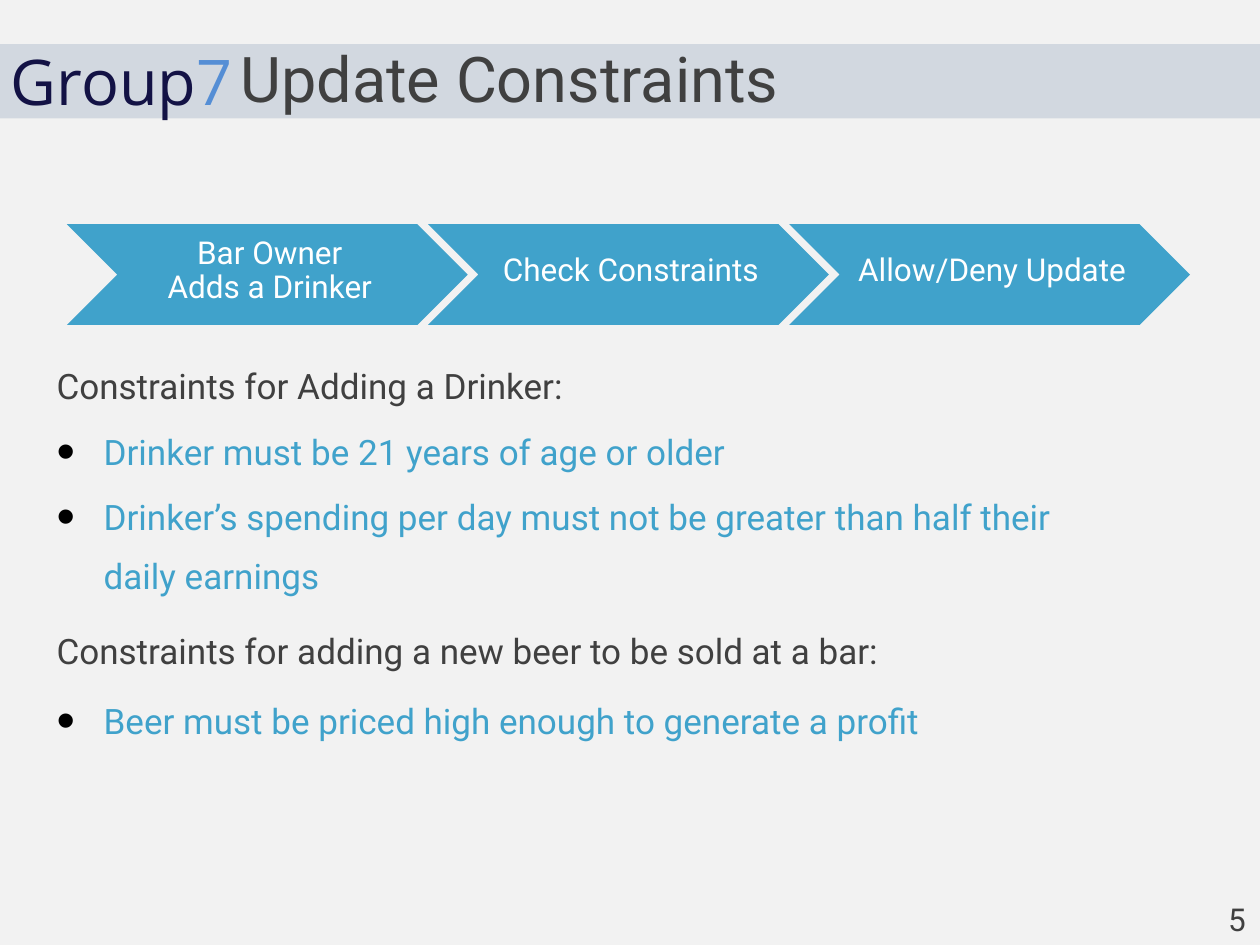
from lxml import etree
from pptx import Presentation
from pptx.dml.color import RGBColor
from pptx.enum.shapes import MSO_SHAPE
from pptx.enum.text import MSO_ANCHOR, PP_ALIGN
from pptx.oxml.ns import qn
from pptx.util import Cm, Pt

CENTER = PP_ALIGN.CENTER
MIDDLE = MSO_ANCHOR.MIDDLE
CHEVRON = MSO_SHAPE.CHEVRON
RECT = MSO_SHAPE.RECTANGLE

PAPER = RGBColor(0xF2, 0xF2, 0xF2)
GRAY = RGBColor(0x40, 0x40, 0x40)
SKY = RGBColor(0x40, 0xA2, 0xCB)
WHITE = RGBColor(0xFF, 0xFF, 0xFF)
SLATE = RGBColor(0x1F, 0x49, 0x7D)
NAVY = RGBColor(0x13, 0x12, 0x45)
BLUE = RGBColor(0x55, 0x8E, 0xD5)

TITLE = "Update Constraints"
TEAM = [("Group", NAVY), ("7", BLUE)]
NUMBER = "5"
STEPS = [
    ["Bar Owner", "Adds a Drinker"],
    ["Check Constraints"],
    ["Allow/Deny Update"],
]
# top, height, line spacing, heading, bullet points
RULES = [
    (6.88, 5.59, 1.4, "Constraints for Adding a Drinker: ",
     ["Drinker must be 21 years of age or older",
      "Drinker’s spending per day must not be greater than half their "
      "daily earnings"]),
    (12.14, 5.87, 1.5, "Constraints for adding a new beer to be sold at a bar: ",
     ["Beer must be priced high enough to generate a profit"]),
]
STEP_X, STEP_Y, STEP_W, STEP_H = 1.35, 4.52, 8.08, 2.03
PITCH = 7.28
LABEL_X, LABEL_W = 1, 6.05


def add_node(parent, tag, **attrs):
    """Append an XML child and return it."""
    return etree.SubElement(parent, qn(tag), attrs)


def add_form(slide, kind, box, color):
    """Add a filled shape without outline."""
    form = slide.shapes.add_shape(kind, *map(Cm, box))
    form.shadow.inherit = False
    form.fill.solid()
    form.fill.fore_color.rgb = color
    form.line.fill.background()
    return form


def add_bullet(para):
    """Give a paragraph a large black bullet and a hanging indent."""
    props = para._p.get_or_add_pPr()
    props.set("marL", str(Cm(0.95)))
    props.set("indent", str(-Cm(0.95)))
    add_node(add_node(props, "a:buClr"), "a:srgbClr", val="000000")
    add_node(props, "a:buSzPct", val="150000")
    add_node(props, "a:buFont", typeface="Arial")
    add_node(props, "a:buChar", char="•")


def add_glow(run):
    """Put a soft drop shadow behind the letters of a run."""
    effect = etree.Element(qn("a:effectLst"))
    shade = add_node(effect, "a:outerShdw", blurRad="38100", dist="38100",
                     dir="2700000", algn="tl")
    color = add_node(shade, "a:srgbClr", val="000000")
    add_node(color, "a:alpha", val="43000")
    run._r.rPr.find(qn("a:latin")).addprevious(effect)


def add_text(slide, box, paras, size=20, font="Roboto", line=None, before=None,
             after=None, align=None, anchor=None, pad=None, wrap=True,
             bullets=False, glow=False):
    """Add a text box; each paragraph is a list of (text, color) runs."""
    frame = slide.shapes.add_textbox(*map(Cm, box)).text_frame
    frame.word_wrap = wrap
    if anchor is not None:
        frame.vertical_anchor = anchor
    if pad:
        (frame.margin_left, frame.margin_top,
         frame.margin_right, frame.margin_bottom) = map(Cm, pad)
    for i, runs in enumerate(paras):
        para = frame.add_paragraph() if i else frame.paragraphs[0]
        para.alignment = align
        para.line_spacing = line
        para.space_before = before
        para.space_after = after
        if bullets and i:
            add_bullet(para)
        for words, color in runs:
            run = para.add_run()
            run.text = words
            run.font.size = Pt(size)
            run.font.color.rgb = color
            run.font.name = font
            if glow:
                add_glow(run)


def build():
    """Build and save the slide."""
    deck = Presentation()
    deck.slide_width, deck.slide_height = Cm(25.4), Cm(19.05)
    slide = deck.slides.add_slide(deck.slide_layouts[6])
    slide.background.fill.solid()
    slide.background.fill.fore_color.rgb = PAPER

    for i, lines in enumerate(STEPS):
        left = STEP_X + i * PITCH
        add_form(slide, CHEVRON, (left, STEP_Y, STEP_W, STEP_H), SKY)
        add_text(slide, (left + LABEL_X, STEP_Y, LABEL_W, STEP_H),
                 [[(words, WHITE)] for words in lines], size=18, line=0.6,
                 after=Pt(6.3), align=CENTER, anchor=MIDDLE,
                 pad=(0.2, 0.07, 0.07, 0.07))

    add_text(slide, (24.51, 18.01, 0.86, 1.02), [[(NUMBER, GRAY)]],
             size=18, wrap=False)

    band = add_form(slide, RECT, (0, 0.89, 25.4, 1.5), SLATE)
    tint = band.fill._xPr.find(qn("a:solidFill"))[0]
    add_node(tint, "a:alpha", val="15000")
    add_text(slide, (4.6, 0.97, 17.02, 1.5), [[(TITLE, GRAY)]],
             size=36, line=0.8, before=Pt(7.2))
    add_text(slide, (-0.03, 0.74, 8.43, 1.8), [TEAM],
             size=36, font="Open Sans", glow=True)

    for top, height, line, head, points in RULES:
        paras = [[(head, GRAY)]] + [[(point, SKY)] for point in points]
        add_text(slide, (0.89, top, 22.05, height), paras,
                 line=line, before=Pt(4), bullets=True)

    deck.save("out.pptx")


build()
